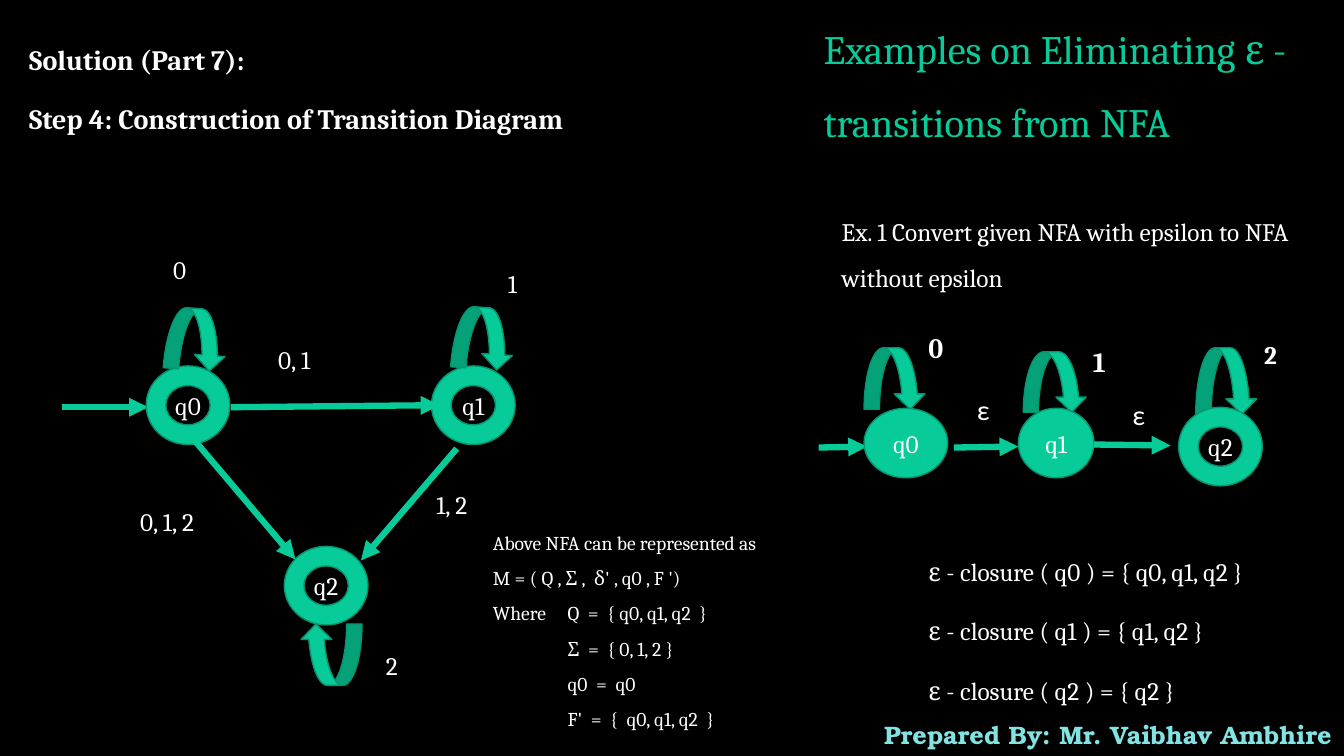
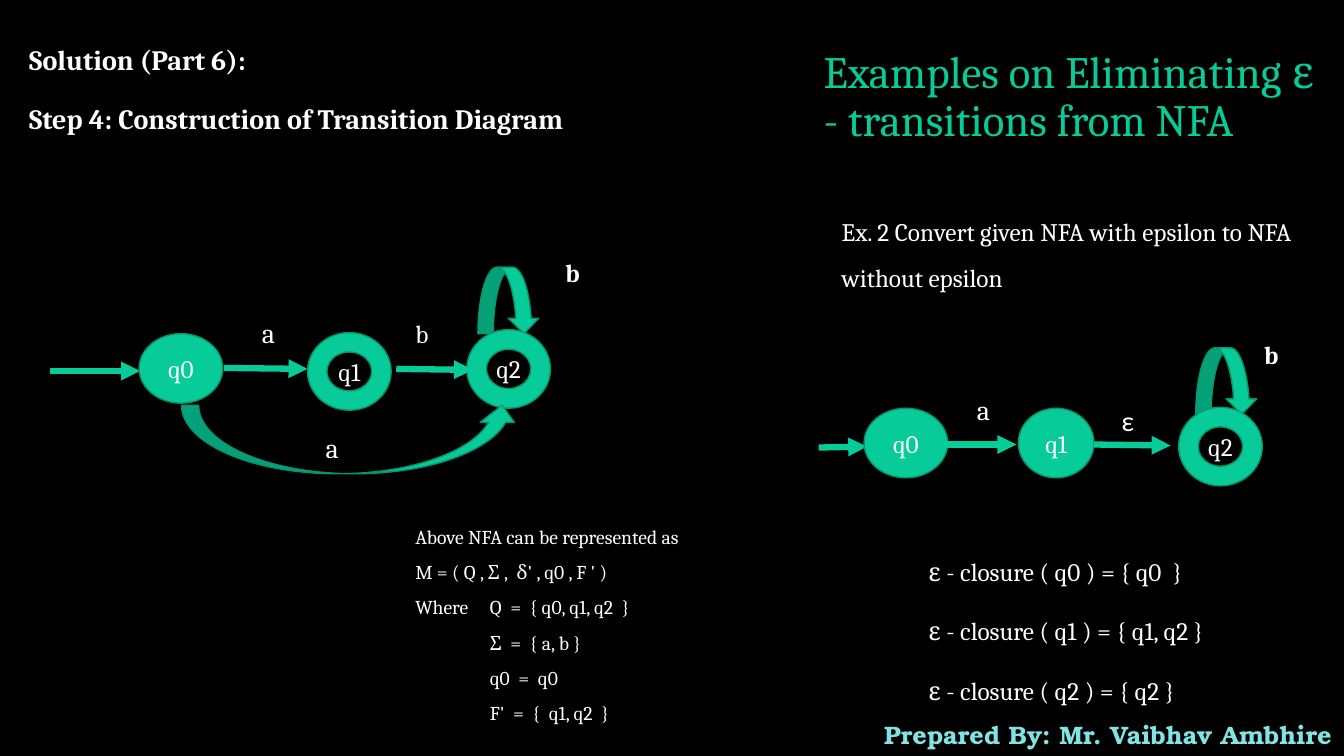
"""Two slides that turn an epsilon-NFA into a plain NFA, with state diagrams."""
from dataclasses import dataclass

from lxml import etree
from pptx import Presentation, util as u
from pptx.dml.color import RGBColor
from pptx.enum import shapes as sh, text as tx
from pptx.oxml.ns import qn

PX = 9144


@dataclass(frozen=True)
class Theme:
    back: str = "000000"
    ink: str = "FFFFFF"
    main: str = "07CB98"
    edge: str = "059670"
    foot: str = "82E3E3"
    face: str = "Cambria"
    greek: str = "Calibri"
    sign: str = "TeX Gyre Bonum"
    note: int = 14
    body: int = 18
    head: int = 20
    arrow: float = 4.5


T = Theme()
BOLD = dict(bold=True)
BIG = dict(size=T.head)
BOTH = dict(size=T.head, bold=True)
EPS = dict(size=T.head, font=T.greek)
MID = dict(align=tx.PP_ALIGN.CENTER)
TITLE = "Examples on Eliminating ε - transitions from NFA"
STEP = "Step 4: Construction of Transition Diagram"
TAB = 74

GIVEN = [
    ("arrow", (812, 444, 860, 443)),
    ("loop", (1186, 345, 61, 66)),
    ("state", (857, 405, 83, 69), "q0"),
    ("state", (1010, 405, 75, 69), "q1"),
    ("final", (1169, 404, 83, 78), "q2"),
    ("arrow", (1085, 441, 1161, 442)),
]

SLIDES = [
    dict(
        part="Solution (Part 7):",
        title=dict(box=(807, 14, 526, 135), size=28.8, lead=1.5),
        task="Ex. 1 Convert given NFA with epsilon to NFA without epsilon",
        close=["q0, q1, q2", "q1, q2", "q2"],
        spot=(479, 510, 328, 218),
        tuple="M = ( Q , Σ ,  δ' , q0 , F ')",
        sets=["0, 1, 2", "q0, q1, q2"],
        draw=[
            ("loop", (857, 345, 61, 61)),
            ("loop", (1015, 349, 63, 60)),
            *GIVEN,
            ("arrow", (946, 444, 1010, 443)),
            ("label", (911, 323, 44, 45), "0", BOTH),
            ("label", (1074, 337, 44, 45), "1", BOTH),
            ("label", (1244, 332, 47, 42), "2", BOLD),
            ("label", (959, 384, 83, 45), "ε", EPS),
            ("label", (1096, 389, 67, 44), "ε", EPS | MID),
            ("arrow", (62, 404, 147, 404)),
            ("final", (145, 363, 83, 78), "q0"),
            ("final", (428, 363, 83, 78), "q1"),
            ("final", (282, 542, 83, 78), "q2"),
            ("arrow", (229, 404, 436, 402)),
            ("arrow", (193, 437, 293, 555)),
            ("arrow", (453, 445, 358, 556)),
            ("loop", (164, 306, 61, 61), 4),
            ("loop", (449, 305, 61, 61), 4),
            ("loop", (298, 619, 61, 61), 180),
            ("label", (266, 337, 78, 40), "0, 1"),
            ("label", (423, 481, 70, 40), "1, 2"),
            ("label", (129, 497, 99, 42), "0, 1, 2"),
            ("label", (162, 247, 50, 40), "0"),
            ("label", (494, 261, 50, 40), "1"),
            ("label", (373, 640, 50, 40), "2"),
        ],
    ),
    dict(
        part="Solution (Part 6):",
        title=dict(box=(807, 41, 526, 109), size=32, lead=0.9),
        task="Ex. 2 Convert given NFA with epsilon to NFA without epsilon",
        close=["q0 ", "q1, q2", "q2"],
        spot=(402, 504, 369, 218),
        tuple="M = ( Q , Σ ,  δ' , q0 , F ' )",
        sets=["a, b", "q1, q2"],
        draw=[
            *GIVEN,
            ("arrow", (925, 441, 1008, 441)),
            ("label", (1244, 332, 47, 42), "b", BOLD),
            ("label", (959, 384, 83, 45), "a", BIG),
            ("label", (1085, 395, 67, 44), "ε", EPS | MID),
            ("arrow", (50, 368, 139, 368)),
            ("state", (138, 331, 83, 69), "q0"),
            ("loop", (474, 265, 61, 66)),
            ("final", (463, 327, 83, 78), "q2"),
            ("arrow", (393, 366, 469, 367)),
            ("arrow", (222, 365, 305, 366)),
            ("final", (305, 330, 83, 77), "q1"),
            ("loop", (180, 402, 335, 68), 180, True),
            ("label", (551, 250, 47, 42), "b", BOLD),
            ("label", (250, 308, 39, 44), "a", BIG),
            ("label", (402, 311, 48, 40), "b"),
            ("label", (313, 422, 39, 44), "a", BIG),
        ],
    ),
]


def emu(nums):
    return [u.Emu(n * PX) for n in nums]


def rgb(code):
    return RGBColor.from_string(code)


def write(frame, lines, size=T.body, font=T.face, color=T.ink, bold=False,
          align=tx.PP_ALIGN.LEFT, lead=None, gap=0, tab=None,
          anchor=tx.MSO_ANCHOR.TOP):
    frame.word_wrap = True
    frame.vertical_anchor = anchor
    for i, line in enumerate(lines):
        para = frame.add_paragraph() if i else frame.paragraphs[0]
        para.alignment = align
        para.space_before = u.Pt(gap)
        if lead:
            para.line_spacing = lead
        if tab:
            stops = etree.SubElement(para._p.get_or_add_pPr(), qn("a:tabLst"))
            etree.SubElement(stops, qn("a:tab"), pos=str(tab * PX), algn="l")
        run = para.add_run()
        run.text = line
        face = run.font
        face.name, face.size, face.bold = font, u.Pt(size), bold
        face.color.rgb = rgb(color)


def label(page, box, line, form=None):
    lines = [line] if isinstance(line, str) else line
    write(page.shapes.add_textbox(*emu(box)).text_frame, lines, **(form or {}))


def solid(page, kind, box):
    item = page.shapes.add_shape(kind, *emu(box))
    item.shadow.inherit = False
    item.fill.solid()
    item.fill.fore_color.rgb = rgb(T.main)
    item.line.color.rgb = rgb(T.edge)
    item.line.width = u.Pt(1)
    return item


def node(page, kind, box, name):
    item = solid(page, kind, box)
    write(item.text_frame, [name], anchor=tx.MSO_ANCHOR.MIDDLE, **MID)


def state(page, box, name):
    node(page, sh.MSO_SHAPE.OVAL, box, name)


def final(page, box, name):
    node(page, sh.MSO_SHAPE.DONUT, box, name)


def loop(page, box, turn=0, flip=False):
    item = solid(page, sh.MSO_SHAPE.CURVED_DOWN_ARROW, box)
    item.rotation = turn
    if flip:
        item._element.spPr.find(qn("a:xfrm")).set("flipH", "1")


def arrow(page, ends):
    item = page.shapes.add_connector(sh.MSO_CONNECTOR.STRAIGHT, *emu(ends))
    item.line.color.rgb = rgb(T.main)
    item.line.width = u.Pt(T.arrow)
    etree.SubElement(item.line._get_or_add_ln(), qn("a:tailEnd"), type="triangle")
    etree.SubElement(item._element.spPr, qn("a:effectLst"))


DRAW = dict(label=label, state=state, final=final, loop=loop, arrow=arrow)


def build(page, data):
    label(page, (864, 709, 470, 40), "Prepared By: Mr. Vaibhav Ambhire",
          dict(font=T.sign, color=T.foot, bold=True, **MID))
    head = dict(data["title"])
    label(page, head.pop("box"), TITLE,
          dict(color=T.main, anchor=tx.MSO_ANCHOR.BOTTOM, **head))
    label(page, (19, 37, 779, 113), [data["part"], STEP], dict(gap=18, **BOTH))
    label(page, (825, 195, 479, 123), data["task"], dict(lead=1.5, gap=12))
    for kind, *args in data["draw"]:
        DRAW[kind](page, *args)
    rows = [f"ε - closure ( q{i} ) = {{ {s} }}" for i, s in enumerate(data["close"])]
    label(page, (911, 532, 374, 205), rows, dict(lead=1.5, gap=10))
    signs, ends = data["sets"]
    rows = ["Above NFA can be represented as", data["tuple"],
            "Where\tQ  =  { q0, q1, q2  }", f"\tΣ  =  {{ {signs} }}",
            "\tq0  =  q0", f"\tF'  =  {{  {ends}  }}"]
    label(page, data["spot"], rows, dict(size=T.note, lead=1.5, tab=TAB))


def main():
    deck = Presentation()
    deck.slide_width, deck.slide_height = emu((1333, 750))
    back = deck.slide_master.background.fill
    back.solid()
    back.fore_color.rgb = rgb(T.back)
    for data in SLIDES:
        build(deck.slides.add_slide(deck.slide_layouts[6]), data)
    deck.save("out.pptx")


if __name__ == "__main__":
    main()
